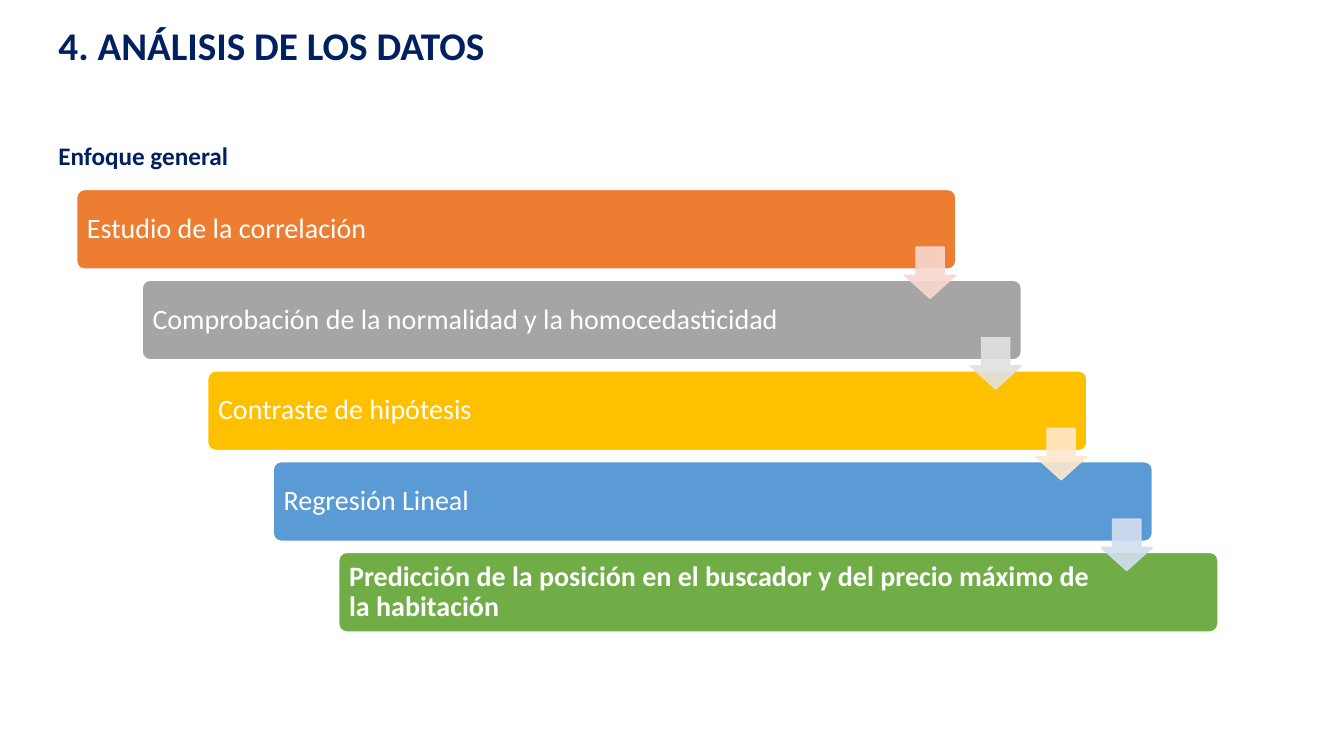
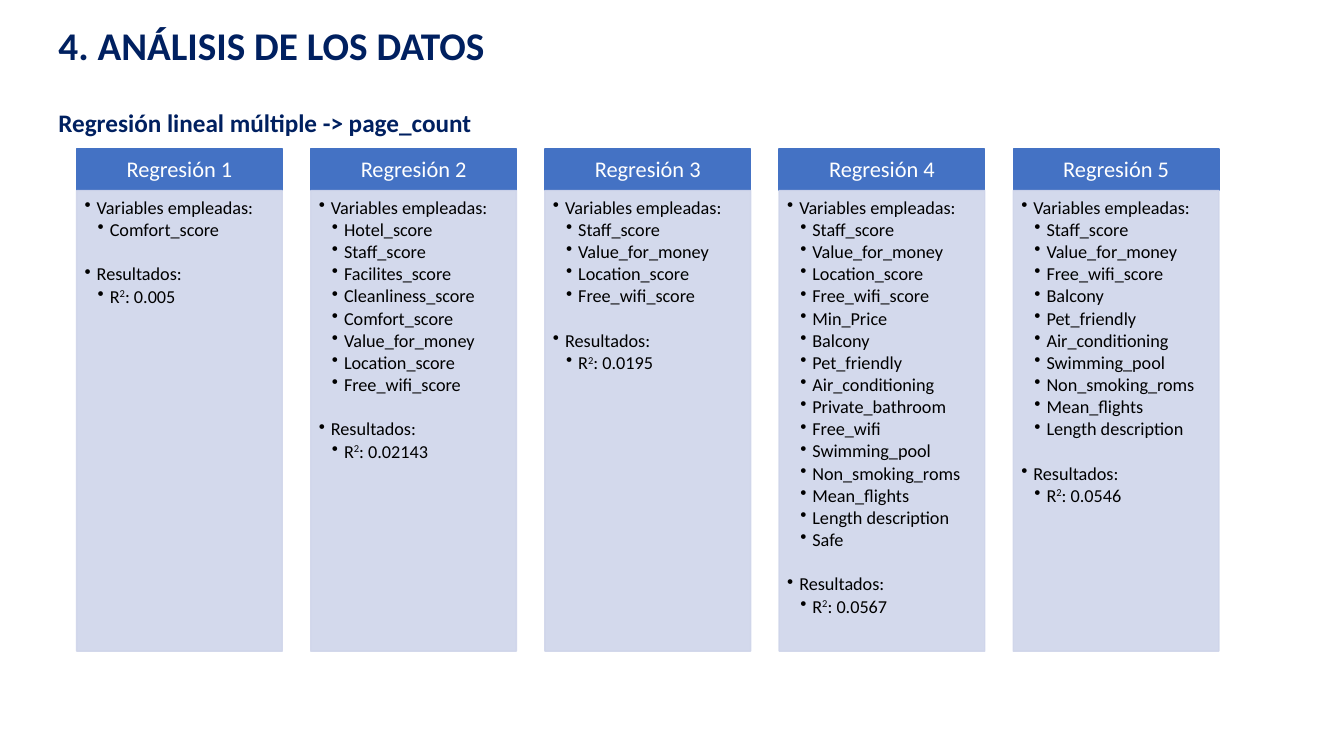
import pptx
import pptx.dml.color
import pptx.enum.shapes
import pptx.enum.text
import pptx.oxml.ns
import pptx.oxml.xmlchemy
import pptx.util

Inches = pptx.util.Inches
Pt = pptx.util.Pt
SHAPES = pptx.enum.shapes.MSO_SHAPE
ALIGN = pptx.enum.text.PP_ALIGN
ANCHOR = pptx.enum.text.MSO_ANCHOR
qn = pptx.oxml.ns.qn
new_element = pptx.oxml.xmlchemy.OxmlElement

FONT = "Calibri"
NAVY, WHITE, BLACK = "002060", "FFFFFF", "000000"
HEADER_BLUE, PALE_BLUE = "4472C4", "CFD5EA"

TITLE = "4. ANÁLISIS DE LOS DATOS"
TITLE_BOX = (0.48, 0.16, 10.45, 0.57)

# Text, box colour, colour of the arrow to the next step
STEPS = [
    ("Estudio de la correlación", "ED7D31", "F8D7CE"),
    ("Comprobación de la normalidad y la homocedasticidad", "A5A5A5", "E1E1E1"),
    ("Contraste de hipótesis", "FFC000", "FFE8CC"),
    ("Regresión Lineal", "5B9BD5", "D2DEEF"),
    ("Predicción de la posición en el buscador y del precio máximo de la habitación",
     "70AD47", None),
]

# Variables used and R² of each regression
REGRESSIONS = [
    (["Comfort_score"], "0.005"),
    (["Hotel_score", "Staff_score", "Facilites_score", "Cleanliness_score",
      "Comfort_score", "Value_for_money", "Location_score", "Free_wifi_score"], "0.02143"),
    (["Staff_score", "Value_for_money", "Location_score", "Free_wifi_score"], "0.0195"),
    (["Staff_score", "Value_for_money", "Location_score", "Free_wifi_score",
      "Min_Price", "Balcony", "Pet_friendly", "Air_conditioning",
      "Private_bathroom", "Free_wifi", "Swimming_pool", "Non_smoking_roms",
      "Mean_flights", "Length description", "Safe"], "0.0567"),
    (["Staff_score", "Value_for_money", "Free_wifi_score", "Balcony",
      "Pet_friendly", "Air_conditioning", "Swimming_pool", "Non_smoking_roms",
      "Mean_flights", "Length description"], "0.0546"),
]


def rgb(color):
    return pptx.dml.color.RGBColor.from_string(color)


def set_attributes(target, values):
    for name, value in values.items():
        setattr(target, name, value)


def format_frame(frame, insets, anchor):
    """Insets are left, top, right and bottom, in inches."""
    sides = ("margin_left", "margin_top", "margin_right", "margin_bottom")
    set_attributes(frame, dict(zip(sides, map(Inches, insets))))
    set_attributes(frame, {"word_wrap": True, "vertical_anchor": anchor})


def add_run(paragraph, text, size, color, bold=False):
    run = paragraph.add_run()
    run.text = text
    set_attributes(run.font, {"name": FONT, "size": Pt(size), "bold": bold})
    run.font.color.rgb = rgb(color)
    return run


def write_line(frame, text, size, color, bold=False, align=ALIGN.LEFT, spacing=0.9):
    paragraph = frame.paragraphs[0]
    set_attributes(paragraph, {"alignment": align, "line_spacing": spacing})
    add_run(paragraph, text, size, color, bold)


def add_block(slide, kind, box, color, line_color, opacity=100, adjustments=()):
    shape = slide.shapes.add_shape(kind, *map(Inches, box))
    shape.shadow.inherit = False
    for index, value in enumerate(adjustments):
        shape.adjustments[index] = value
    shape.fill.solid()
    shape.fill.fore_color.rgb = rgb(color)
    shape.line.color.rgb = rgb(line_color)
    shape.line.width = Pt(1)
    if opacity < 100:
        for color_element in shape.element.spPr.iter(qn("a:srgbClr")):
            alpha = new_element("a:alpha")
            alpha.set("val", str(opacity * 1000))
            color_element.append(alpha)
    return shape


def add_titled_slide(presentation, subtitle, subtitle_top):
    slide = presentation.slides.add_slide(presentation.slide_layouts[5])
    title = slide.shapes.title
    subtitle_box = slide.shapes.add_textbox(
        *map(Inches, (TITLE_BOX[0], subtitle_top, 11.88, 0.51)))
    set_attributes(title, dict(zip(("left", "top", "width", "height"),
                                   map(Inches, TITLE_BOX))))
    for shape in (title, subtitle_box):
        format_frame(shape.text_frame, (0.1, 0.05, 0.1, 0.05), ANCHOR.TOP)
    write_line(title.text_frame, TITLE, 28, NAVY, True, spacing=1.0)
    write_line(subtitle_box.text_frame, subtitle, 18, NAVY, True, ALIGN.JUSTIFY, 1.5)
    return slide


def add_bullet(frame, level, space_before=0):
    """Return a bulleted paragraph, using the empty first one if it is free."""
    paragraph = frame.paragraphs[0]
    if paragraph.runs:
        paragraph = frame.add_paragraph()
    set_attributes(paragraph, {
        "alignment": ALIGN.LEFT, "level": level, "line_spacing": 0.9,
        "space_before": Pt(space_before), "space_after": Pt(1.75)})
    properties = paragraph._p.get_or_add_pPr()
    properties.set("marL", str(Inches((0.12, 0.25)[level - 1])))
    properties.set("indent", str(Inches(-0.12)))
    bullet = new_element("a:buChar")
    bullet.set("char", "•")
    properties.append(bullet)
    return paragraph


def build_approach(presentation):
    slide = add_titled_slide(presentation, "Enfoque general", 1.19)
    left, top, step_x, step_y = 0.76, 1.88, 0.65, 0.9
    width, height, arrow_size = 8.72, 0.79, 0.51
    corners = [(left + index * step_x, top + index * step_y)
               for index in range(len(STEPS))]
    for (x, y), (text, color, _) in zip(corners, STEPS):
        box = add_block(slide, SHAPES.ROUNDED_RECTANGLE, (x, y, width, height),
                        color, WHITE, adjustments=(0.1,))
        format_frame(box.text_frame, (0.08, 0.08, 1.24, 0.08), ANCHOR.MIDDLE)
        write_line(box.text_frame, text, 20, WHITE, bold=text == STEPS[-1][0])
    for (x, y), (_, _, color) in zip(corners[:-1], STEPS):
        add_block(slide, SHAPES.DOWN_ARROW,
                  (x + width - arrow_size, y + 0.57, arrow_size, arrow_size),
                  color, color, 90, (0.55, 0.45))


def build_regressions(presentation):
    slide = add_titled_slide(presentation, "Regresión lineal múltiple -> page_count", 0.87)
    left, right, top, width = 0.76, 12.09, 1.48, 2.04
    header_height, body_height = 0.41, 4.57
    pitch = (right - left - width) / (len(REGRESSIONS) - 1)
    for index, (variables, r_squared) in enumerate(REGRESSIONS):
        x = left + index * pitch
        header = add_block(slide, SHAPES.RECTANGLE, (x, top, width, header_height),
                           HEADER_BLUE, HEADER_BLUE)
        format_frame(header.text_frame, (0.12, 0.07, 0.12, 0.07), ANCHOR.MIDDLE)
        write_line(header.text_frame, f"Regresión {index + 1}", 16, WHITE,
                   align=ALIGN.CENTER)

        body = add_block(slide, SHAPES.RECTANGLE,
                         (x, top + header_height, width, body_height),
                         PALE_BLUE, PALE_BLUE, 90)
        frame = body.text_frame
        format_frame(frame, (0.08, 0.08, 0.1, 0.11), ANCHOR.TOP)
        add_run(add_bullet(frame, 1), "Variables empleadas:", 13, BLACK)
        for variable in variables:
            add_run(add_bullet(frame, 2), variable, 13, BLACK)
        add_run(add_bullet(frame, 1, space_before=16), "Resultados:", 13, BLACK)
        result = add_bullet(frame, 2)
        add_run(result, "R", 13, BLACK)
        exponent = add_run(result, "2", 13, BLACK)
        exponent.font._element.set("baseline", "30000")
        add_run(result, f": {r_squared}", 13, BLACK)


def main():
    presentation = pptx.Presentation()
    set_attributes(presentation, {"slide_width": Inches(13.33),
                                  "slide_height": Inches(7.5)})
    build_approach(presentation)
    build_regressions(presentation)
    presentation.save("out.pptx")


if __name__ == "__main__":
    main()
